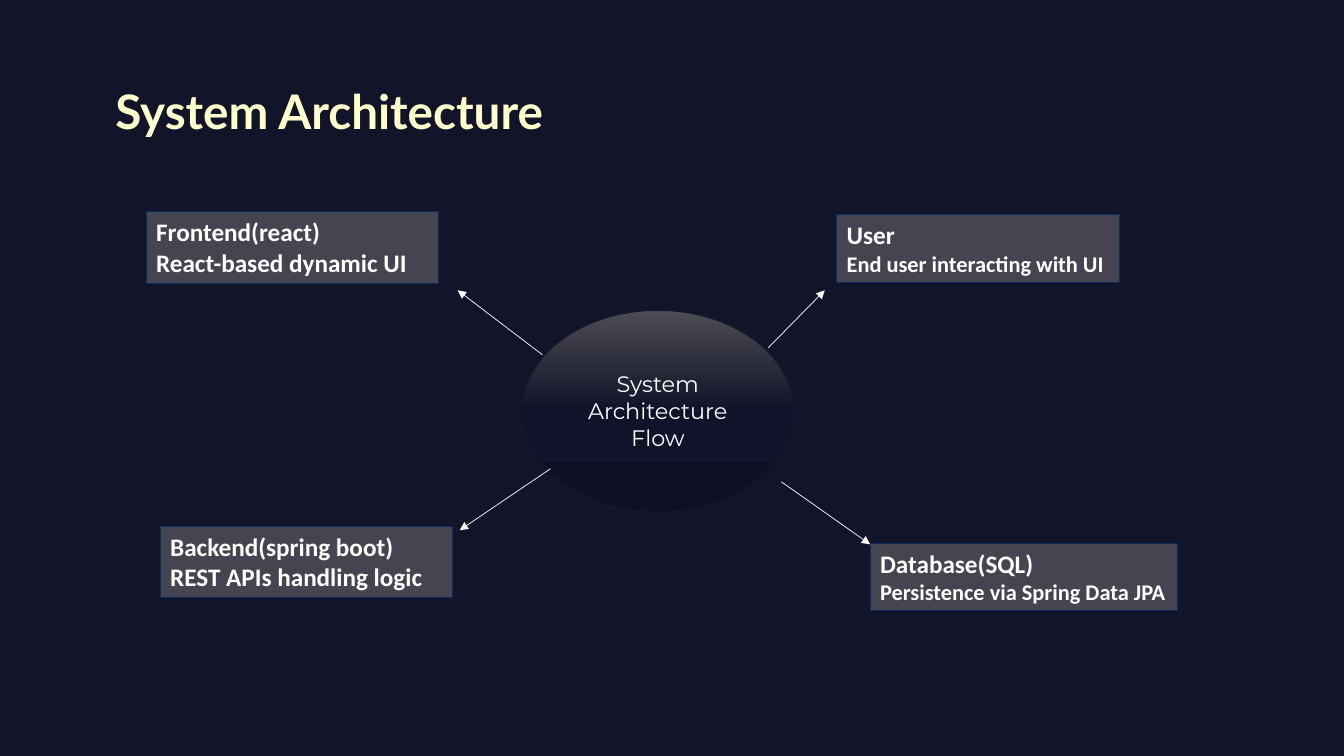
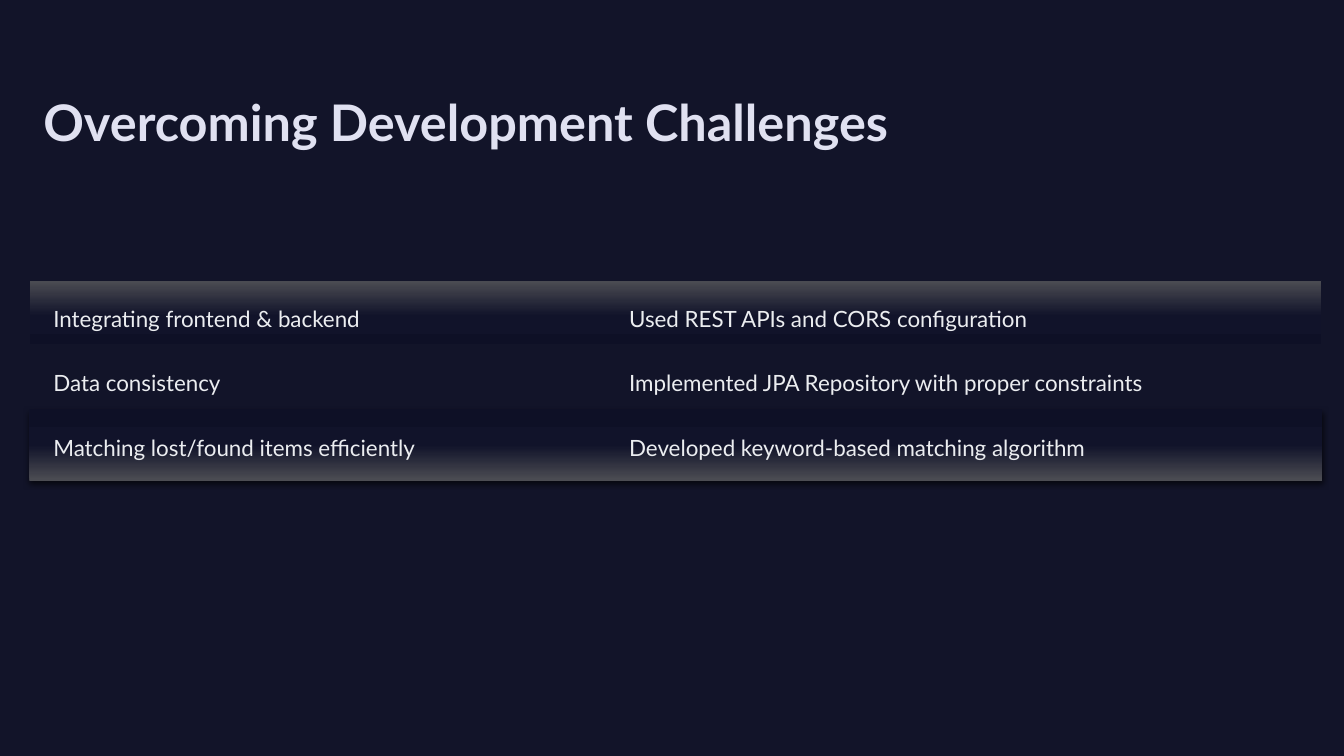
from copy import deepcopy
from dataclasses import dataclass

from lxml.etree import SubElement as Sub
from pptx import Presentation
from pptx.dml.color import RGBColor as RGB
from pptx.enum.shapes import MSO_CONNECTOR as LINK, MSO_SHAPE as SHAPE
from pptx.enum.text import MSO_ANCHOR as ANCHOR, PP_ALIGN as ALIGN
from pptx.oxml.ns import qn
from pptx.util import Pt


@dataclass(frozen=True)
class Theme:
    back: str = "121429"
    box: str = "444550"
    edge: str = "072C62"
    white: str = "FFFFFF"
    cream: str = "FFFFCC"
    lilac: str = "E0E1F1"
    pale: str = "EBEDF0"
    fade: tuple = ((0, "4C4D53"), (0.5, "11132A"), (1, "0E1026"))
    head: int = 34
    big: int = 36
    label: int = 18
    body: int = 16


T = Theme()
PX = 9144  # 100 px to the inch


def write(frame, lines, color, name, bold=False, align=ALIGN.LEFT, lead=None):
    """Fill a text frame with (text, size) lines in one style."""
    for i, (text, size) in enumerate(lines):
        para = frame.paragraphs[0] if i == 0 else frame.add_paragraph()
        para.alignment = align
        if lead:
            para.line_spacing = Pt(lead)
            for side in ("left", "top", "right", "bottom"):
                setattr(frame, f"margin_{side}", 0)
        run = para.add_run()
        run.text = text
        look = {"name": name, "size": Pt(size), "bold": bold}
        for key, val in look.items():
            setattr(run.font, key, val)
        run.font.color.rgb = RGB.from_string(color)


def draw(slide, kind, area, fill, edge=None, width=0.5):
    """Add a shape with a plain or faded fill."""
    shape = slide.shapes.add_shape(kind, *(n * PX for n in area))
    shape.shadow.inherit = False
    if isinstance(fill, str):
        shape.fill.solid()
        shape.fill.fore_color.rgb = RGB.from_string(fill)
    else:
        shape.fill.gradient()
        shape.fill.gradient_angle = 270
        stops = shape.element.spPr.find(qn("a:gradFill")).find(qn("a:gsLst"))
        stops.append(deepcopy(stops[0]))
        for stop, (pos, color) in zip(shape.fill.gradient_stops, fill):
            stop.position = pos
            stop.color.rgb = RGB.from_string(color)
    if edge:
        shape.line.color.rgb = RGB.from_string(edge)
        shape.line.width = Pt(width)
    else:
        shape.line.fill.background()
    return shape


# Deck and shared background
deck = Presentation()
deck.slide_width, deck.slide_height = 1333 * PX, 750 * PX
ground = deck.slide_master.background.fill
ground.solid()
ground.fore_color.rgb = RGB.from_string(T.back)
blank = deck.slide_layouts[6]

# Slide 1: title
flow = deck.slides.add_slide(blank)
title = flow.shapes.add_textbox(87 * PX, 76 * PX, 479 * PX, 67 * PX).text_frame
title.word_wrap = True
write(title, [("System Architecture", T.head)], T.cream, "Lato", True, ALIGN.CENTER)

# Slide 1: hub
hub = draw(flow, SHAPE.FLOWCHART_CONNECTOR, (518, 308, 269, 199), T.fade, T.back)
hub.text_frame.vertical_anchor = ANCHOR.MIDDLE
write(hub.text_frame, [("System Architecture", T.body), ("Flow", T.body)],
      T.white, "Montserrat", align=ALIGN.CENTER)

# Slide 1: parts around the hub, each with its arrow
parts = [
    ((145, 210, 290, 71), "Frontend(react)", "React-based dynamic UI", T.label,
     (538, 352, 454, 288)),
    ((830, 213, 280, 67), "User", "End user interacting with UI", T.body,
     (762, 345, 818, 288)),
    ((159, 522, 290, 71), "Backend(spring boot)", "REST APIs handling logic", T.label,
     (546, 465, 456, 526)),
    ((863, 539, 305, 67), "Database(SQL)", "Persistence via Spring Data JPA", T.body,
     (775, 478, 863, 540)),
]
for area, name, role, size, ends in parts:
    box = draw(flow, SHAPE.RECTANGLE, area, T.box, T.edge, 0.75)
    box.text_frame.vertical_anchor = ANCHOR.TOP
    write(box.text_frame, [(name, T.label), (role, size)], T.white, "Calibri", True)

    arrow = flow.shapes.add_connector(LINK.STRAIGHT, *(n * PX for n in ends))
    arrow.line.color.rgb = RGB.from_string(T.white)
    arrow.line.width = Pt(0.5)
    Sub(arrow.line._get_or_add_ln(), qn("a:tailEnd"), type="triangle")
    Sub(arrow.element.spPr, qn("a:effectLst"))

# Slide 2: title
fixes = deck.slides.add_slide(blank)
title = fixes.shapes.add_textbox(43 * PX, 70 * PX, 1142 * PX, 161 * PX).text_frame
title.word_wrap = False
write(title, [("Overcoming Development Challenges", T.big)], T.lilac, "Lato", True, lead=58)

# Slide 2: challenge and answer rows
rows = [
    ("Integrating frontend & backend", "Used REST APIs and CORS configuration",
     T.fade, T.back, 0),
    ("Data consistency", "Implemented JPA Repository with proper constraints",
     T.back, T.back, 180),
    ("Matching lost/found items efficiently", "Developed keyword-based matching algorithm",
     T.fade, None, 180),
]
for i, (issue, answer, fill, edge, turn) in enumerate(rows):
    top = 278 + 64 * i
    band = draw(fixes, SHAPE.RECTANGLE, (29, top, 1282, 71), fill, edge)
    band.rotation = turn
    if edge is None:
        glow = Sub(band.element.spPr.find(qn("a:effectLst")), qn("a:outerShdw"),
                   blurRad=str(Pt(4.5)), dist=str(Pt(1.5)), dir="5400000", rotWithShape="0")
        tint = Sub(glow, qn("a:srgbClr"), val="000000")
        Sub(tint, qn("a:alpha"), val="63000")
    for left, wide, text in ((53, 524, issue), (624, 688, answer)):
        cell = fixes.shapes.add_textbox(left * PX, (top + 19) * PX, wide * PX, 36 * PX)
        cell.text_frame.word_wrap = False
        write(cell.text_frame, [(text, T.body)], T.pale, "Lato", lead=23)

deck.save("out.pptx")
